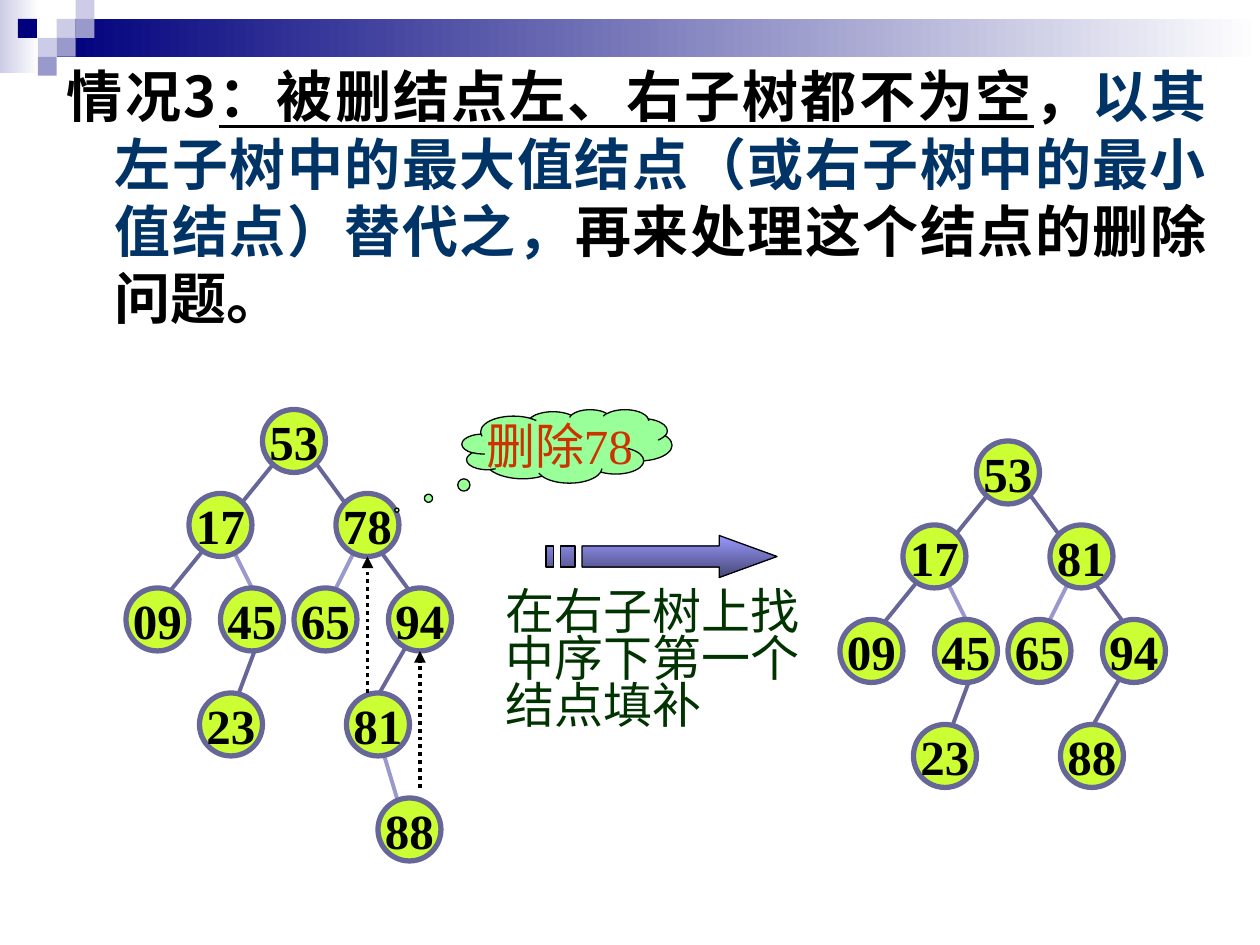
from lxml import etree
from pptx import Presentation
from pptx import util as u
from pptx.dml.color import RGBColor
from pptx.enum import dml, shapes, text
from pptx.oxml import ns

WHITE = RGBColor(0xFF, 0xFF, 0xFF)
BLACK = RGBColor(0x00, 0x00, 0x00)
NAVY = RGBColor(0x00, 0x00, 0x7D)
LAVENDER = RGBColor(0xCC, 0xCC, 0xE6)
PERIWINKLE = RGBColor(0x99, 0x99, 0xCC)
SLATE = RGBColor(0x66, 0x66, 0x99)
LIME = RGBColor(0xCC, 0xFF, 0x33)
MINT = RGBColor(0x99, 0xFF, 0x99)
RED = RGBColor(0xCC, 0x33, 0x00)
GREEN = RGBColor(0x00, 0x33, 0x00)
BLUE = RGBColor(0x00, 0x33, 0x66)
VIOLET = RGBColor(0x99, 0x99, 0xFF)
INDIGO = RGBColor(0x47, 0x47, 0x76)

SERIF, SANS, CHINESE = "Times New Roman", "Arial", "Noto Sans CJK SC"
CELL = u.Inches(1) / 12
TILE = 1.8
NODE = 6
SHARED_NODES = {"53": (13, 0), "17": (6, 8), "09": (0, 17), "45": (9, 17),
                "65": (16, 17), "94": (25, 17), "23": (7, 27)}
SHARED_EDGES = [((15, 4), (2, 20), SLATE), ((18, 5), (29, 20), SLATE),
                ((10, 13), (13, 19), PERIWINKLE), ((22, 13), (19, 19), PERIWINKLE),
                ((13, 21), (10, 29), SLATE), ((27, 22), (23, 29), SLATE)]


def cells(*counts):
    """Turn grid counts into lengths."""
    return [u.Emu(round(count * CELL)) for count in counts]


def style_span(span, size, color, font=SERIF, bold=False):
    """Set size, colour and both typefaces of a run."""
    span.font.size, span.font.bold = u.Pt(size), bold
    span.font.name, span.font.color.rgb = font, color
    etree.SubElement(span.font._element, ns.qn("a:ea"), typeface=CHINESE)


def shade(fill, first, last, angle=0):
    """Fill with a two-stop gradient."""
    fill.gradient()
    fill.gradient_angle = angle
    for stop, color in zip(fill.gradient_stops, (first, last)):
        stop.color.rgb = color


def add_preset(page, kind, box, fill, line=None, width=0.75):
    """Place a preset shape without a shadow."""
    shape = page.shapes.add_shape(kind, *cells(*box))
    shape.shadow.inherit = False
    if isinstance(fill, RGBColor):
        shape.fill.solid()
        shape.fill.fore_color.rgb = fill
    else:
        shade(shape.fill, *fill)
    if line is None:
        shape.line.fill.background()
    else:
        shape.line.color.rgb, shape.line.width = line, u.Pt(width)
    return shape


def label(shape, wording, color, bold=False):
    """Centre unwrapped wording in a shape."""
    frame = shape.text_frame
    frame.text = wording
    frame.word_wrap = False
    frame.vertical_anchor = text.MSO_ANCHOR.MIDDLE
    para = frame.paragraphs[0]
    para.alignment = text.PP_ALIGN.CENTER
    style_span(para.runs[0], 28, color, bold=bold)


def add_line(page, origin, start, end, color, arrow=False):
    """Join two cells counted from the origin."""
    ends = [base + step for point in (start, end) for base, step in zip(origin, point)]
    line = page.shapes.add_connector(shapes.MSO_CONNECTOR.STRAIGHT, *cells(*ends))
    line.line.color.rgb, line.line.width = color, u.Pt(2.25)
    if arrow:
        line.line.dash_style = dml.MSO_LINE.ROUND_DOT
        etree.SubElement(line.line._get_or_add_ln(), ns.qn("a:tailEnd"), type="triangle")
    etree.SubElement(line._element.spPr, ns.qn("a:effectLst"))


def add_header(page, left, top, width):
    """Draw the gradient band and its mosaic of tiles."""
    rect = shapes.MSO_SHAPE.RECTANGLE
    add_preset(page, rect, (left, top, 3.7, 7), (LAVENDER, WHITE))
    add_preset(page, rect, (left + 3 * TILE, top + TILE, width - 3 * TILE, 2 * TILE), (NAVY, WHITE))
    for column, row, color in [(3, 1, LAVENDER), (4, 0, LAVENDER), (4, 1, PERIWINKLE),
                               (2, 2, LAVENDER), (0.95, 1, NAVY), (3, 2, PERIWINKLE),
                               (2, 3, PERIWINKLE)]:
        add_preset(page, rect, (left + column * TILE, top + row * TILE, TILE, TILE), color)


def add_tree(page, left, top, nodes, edges=(), moves=()):
    """Draw edges, then nodes, then dotted replacement moves."""
    for start, end, color in [*SHARED_EDGES, *edges]:
        add_line(page, (left, top), start, end, color)
    for key, (column, row) in {**SHARED_NODES, **nodes}.items():
        box = (left + column, top + row, NODE, NODE)
        label(add_preset(page, shapes.MSO_SHAPE.OVAL, box, LIME, SLATE, 3), key, BLACK, True)
    for start, end in moves:
        add_line(page, (left, top), start, end, BLACK, True)


def add_callout(page, *box):
    """Draw the cloud naming the deleted node."""
    cloud = add_preset(page, shapes.MSO_SHAPE.CLOUD_CALLOUT, box, MINT, BLACK)
    cloud.adjustments[0], cloud.adjustments[1] = -0.81, 0.87
    label(cloud, "删除78", RED)


def add_striped_arrow(page, left, top, width, height):
    """Draw an arrow with two stripes on its tail."""
    scale = (width * CELL / 32, height * CELL / 4)
    builder = page.shapes.build_freeform(24, 0, scale)
    builder.add_line_segments([(24, 1), (5, 1), (5, 3), (24, 3), (24, 4), (32, 2)])
    for near, far in [(2, 4), (0, 1)]:
        builder.move_to(near, 1)
        builder.add_line_segments([(near, 3), (far, 3), (far, 1)])
    arrow = builder.convert_to_shape(*cells(left, top))
    arrow.shadow.inherit = False
    shade(arrow.fill, VIOLET, INDIGO, 270)
    arrow.line.color.rgb, arrow.line.width = BLACK, u.Pt(0.75)


def add_hint(page, *box):
    """Write the hint below the arrow."""
    frame = page.shapes.add_textbox(*cells(*box)).text_frame
    frame.word_wrap = True
    frame.text = "在右子树上找中序下第一个结点填补"
    para = frame.paragraphs[0]
    para.line_spacing = 0.8
    style_span(para.runs[0], 28, GREEN)


def add_statement(page, *box):
    """Write the deletion rule with a hanging indent."""
    frame = page.shapes.add_textbox(*cells(*box)).text_frame
    frame.word_wrap = True
    para = frame.paragraphs[0]
    para.alignment = text.PP_ALIGN.JUSTIFY
    indent = u.Inches(0.38)
    para._p.get_or_add_pPr().set("marL", str(indent))
    para._p.get_or_add_pPr().set("indent", str(-indent))
    for wording, font, color, underlined in [
            ("情况3", CHINESE, BLACK, False),
            ("：被删结点左、右子树都不为空", CHINESE, BLACK, True),
            ("，", CHINESE, BLACK, False),
            ("以其左子树中的最大值结点（或右子树中的最小值结点）替代之，", SANS, BLUE, False),
            ("再来处理这个结点的删除问题。", CHINESE, BLACK, False)]:
        span = para.add_run()
        span.text = wording
        style_span(span, 32, color, font, True)
        span.font.underline = underlined


def main():
    """Build and save the slide."""
    deck = Presentation()
    deck.slide_width, deck.slide_height = cells(120, 90)
    page = deck.slides.add_slide(deck.slide_layouts[6])
    add_header(page, 0, 0, 120)
    add_tree(page, 12, 39, {"78": (20, 8), "81": (21, 27), "88": (24, 37)},
             [((24, 31), (27, 41), PERIWINKLE)],
             [((23, 27), (23, 14)), ((28, 36), (28, 23))])
    add_callout(page, 44, 39, 20, 7)
    add_striped_arrow(page, 52, 51, 22, 4)
    add_hint(page, 47, 55.8, 31, 14.6)
    add_tree(page, 80, 42, {"81": (20, 8), "88": (21, 27)})
    add_statement(page, 5.2, 5.3, 110.9, 27.4)
    deck.save("out.pptx")


if __name__ == "__main__":
    main()
